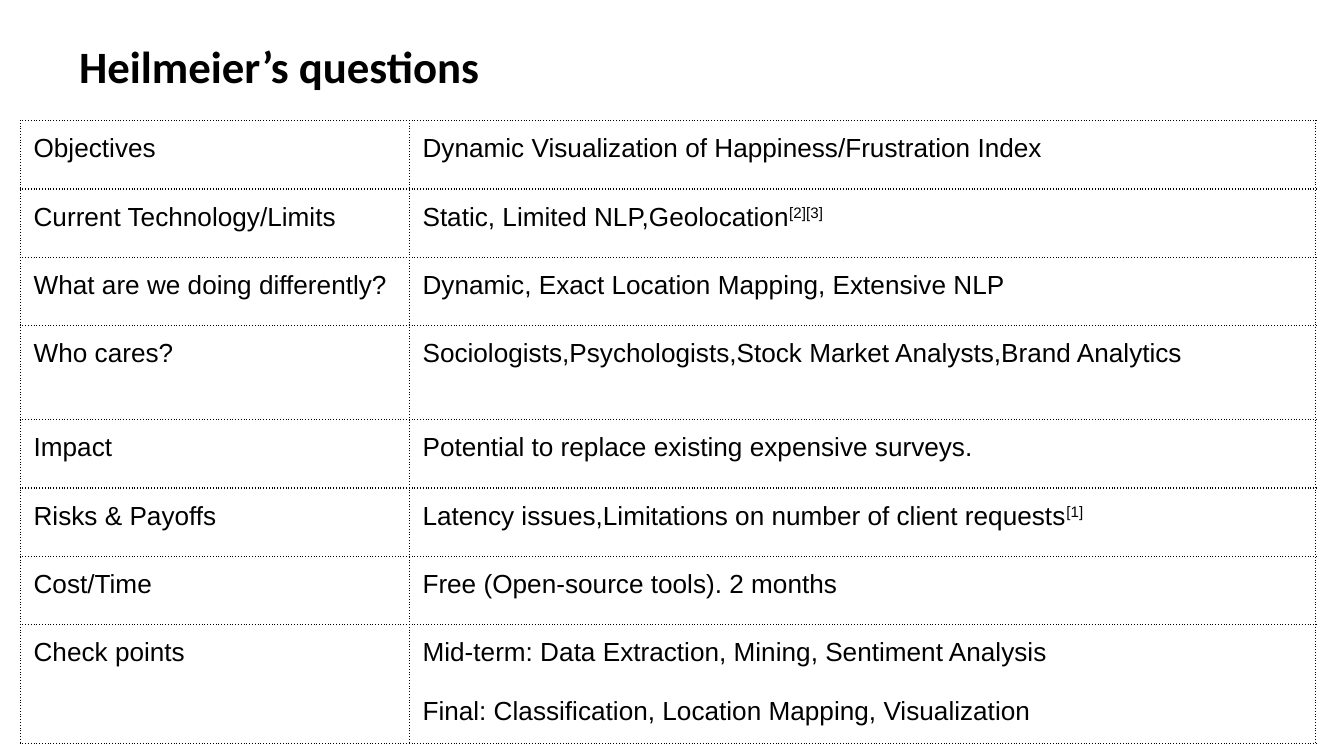
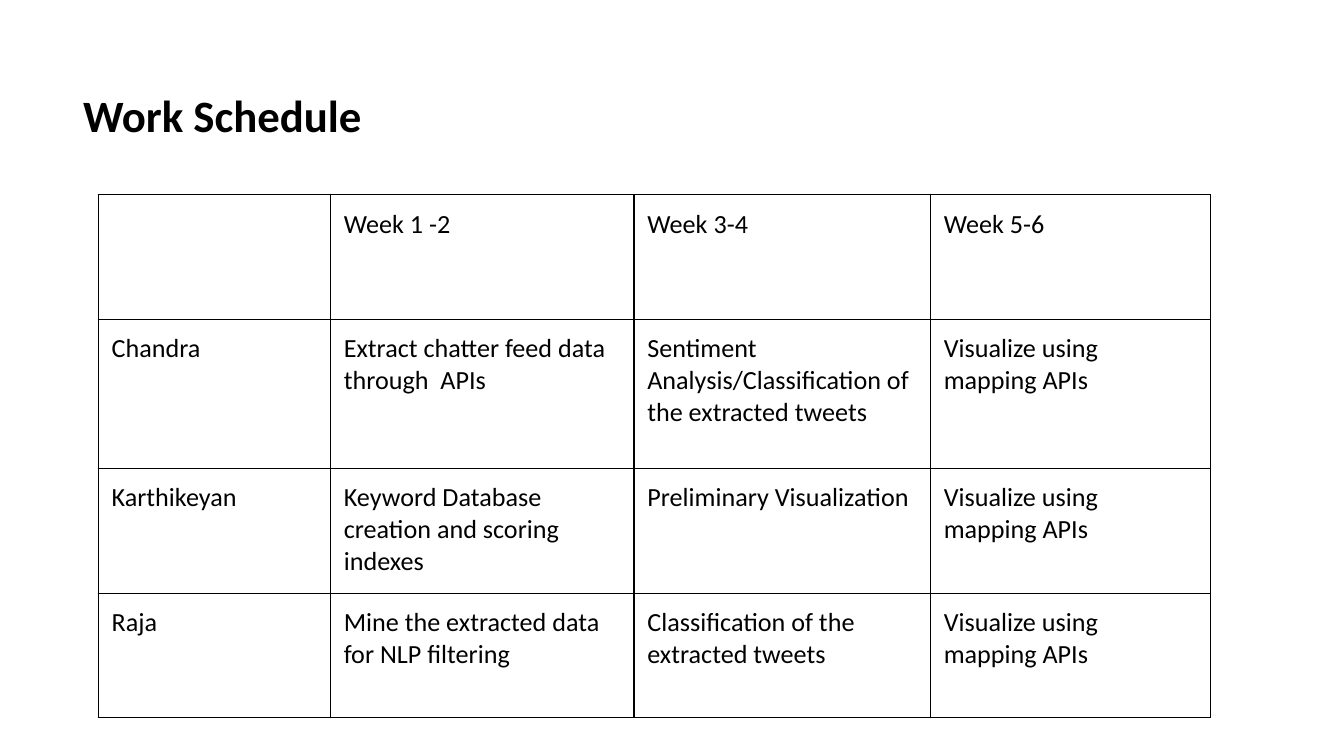
import pptx
import pptx.dml.color
import pptx.enum.text
import pptx.oxml
import pptx.oxml.ns
import pptx.util

Pt = pptx.util.Pt
COLORS = {"ink": "000000", "paper": "FFFFFF"}
INSET = 7.2
TITLE = {"name": "Calibri", "size": Pt(24), "bold": True}
QUESTION_TEXT = {"name": "Arial", "size": Pt(14), "bold": False}
SCHEDULE_TEXT = {"name": "Calibri", "size": Pt(14), "bold": False}
VISUALIZE = "Visualize using mapping APIs"
QUESTIONS = [
    ("Objectives", "Dynamic Visualization of Happiness/Frustration Index"),
    ("Current Technology/Limits", "Static, Limited NLP,Geolocation^[2][3]"),
    ("What are we doing differently?", "Dynamic, Exact Location Mapping, Extensive NLP"),
    ("Who cares?", "Sociologists,Psychologists,Stock Market Analysts,Brand Analytics"),
    ("Impact", "Potential to replace existing expensive surveys."),
    ("Risks & Payoffs", "Latency issues,Limitations on number of client requests^[1]"),
    ("Cost/Time", "Free (Open-source tools). 2 months"),
    ("Check points", "Mid-term: Data Extraction, Mining, Sentiment Analysis\n"
                     "Final: Classification, Location Mapping, Visualization"),
]
SCHEDULE = [
    ("", "Week 1 -2", "Week 3-4", "Week 5-6"),
    ("Chandra", "Extract chatter feed data through  APIs",
     "Sentiment Analysis/Classification of the extracted tweets", VISUALIZE),
    ("Karthikeyan", "Keyword Database\ncreation and scoring indexes",
     "Preliminary Visualization", VISUALIZE),
    ("Raja", "Mine the extracted data for NLP filtering",
     "Classification of the extracted tweets", VISUALIZE),
]


def rgb(name):
    """Return the named colour."""
    return pptx.dml.color.RGBColor.from_string(COLORS[name])


def add_run(p, text, style):
    """Add a run formatted from a dict of font values."""
    r = p.add_run()
    r.text = text
    for key, value in style.items():
        setattr(r.font, key, value)
    r.font.color.rgb = rgb("ink")
    return r


def add_paragraphs(tf, text, style, gap=0):
    """Write one paragraph per line; text after a caret is superscript."""
    for i, line in enumerate(text.split("\n")):
        p = tf.add_paragraph() if i else tf.paragraphs[0]
        if i:
            p.space_before = Pt(gap)
        body, _, note = line.partition("^")
        if body:
            add_run(p, body, style)
        if note:
            add_run(p, note, style)._r.get_or_add_rPr().set("baseline", "30000")


def set_insets(frame):
    """Give a cell or text frame equal insets."""
    for side in ("left", "top", "right", "bottom"):
        setattr(frame, f"margin_{side}", Pt(INSET))


def set_borders(cell, dash):
    """Draw all four borders of a cell."""
    tcPr = cell._tc.get_or_add_tcPr()
    for i, side in enumerate("LRTB"):
        tcPr.insert(i, pptx.oxml.parse_xml(
            f'<a:ln{side} {pptx.oxml.ns.nsdecls("a")} w="{Pt(0.75)}">'
            f'<a:solidFill><a:srgbClr val="{COLORS["ink"]}"/></a:solidFill>'
            f'<a:prstDash val="{dash}"/></a:ln{side}>'))


def add_title(s, box, text):
    """Add a bottom-anchored slide title."""
    tf = s.shapes.add_textbox(*map(Pt, box)).text_frame
    tf.word_wrap = True
    tf.vertical_anchor = pptx.enum.text.MSO_ANCHOR.BOTTOM
    set_insets(tf)
    add_paragraphs(tf, text, TITLE)


def add_grid(s, origin, widths, heights, rows, style, dash="solid", gap=0):
    """Add an unfilled ruled table with its corner at origin."""
    size = sum(widths), sum(heights)
    table = s.shapes.add_table(len(rows), len(widths), *map(Pt, (*origin, *size))).table
    table.first_row = table.horz_banding = False
    for column, width in zip(table.columns, widths):
        column.width = Pt(width)
    for row, height, texts in zip(table.rows, heights, rows):
        row.height = Pt(height)
        for cell, text in zip(row.cells, texts):
            set_insets(cell)
            cell.fill.background()
            set_borders(cell, dash)
            add_paragraphs(cell.text_frame, text, style, gap)


def new_slide(prs):
    """Add a blank slide with the shared background."""
    s = prs.slides.add_slide(prs.slide_layouts[6])
    s.background.fill.solid()
    s.background.fill.fore_color.rgb = rgb("paper")
    return s


def questions_slide(prs):
    """Build the slide of questions and answers."""
    s = new_slide(prs)
    add_title(s, (35.3, 11.5, 506, 45.4), "Heilmeier’s questions")
    heights = [36.6] * 3 + [50.4] + [36.6] * 3 + [62]
    add_grid(s, (10.8, 64.6), (208.4, 485.6), heights, QUESTIONS,
             QUESTION_TEXT, dash="sysDot", gap=15.5)


def schedule_slide(prs):
    """Build the slide of tasks by person and week."""
    s = new_slide(prs)
    add_grid(s, (52.6, 104.4), (124.4, 162.6, 158.8, 150), (66.8, 79.8, 66.8, 66.8),
             SCHEDULE, SCHEDULE_TEXT)
    add_title(s, (37.4, 18, 505, 64.8), "Work Schedule")


def main():
    """Build and save the presentation."""
    prs = pptx.Presentation()
    prs.slide_width, prs.slide_height = Pt(720), Pt(405)
    questions_slide(prs)
    schedule_slide(prs)
    prs.save("out.pptx")


if __name__ == "__main__":
    main()
